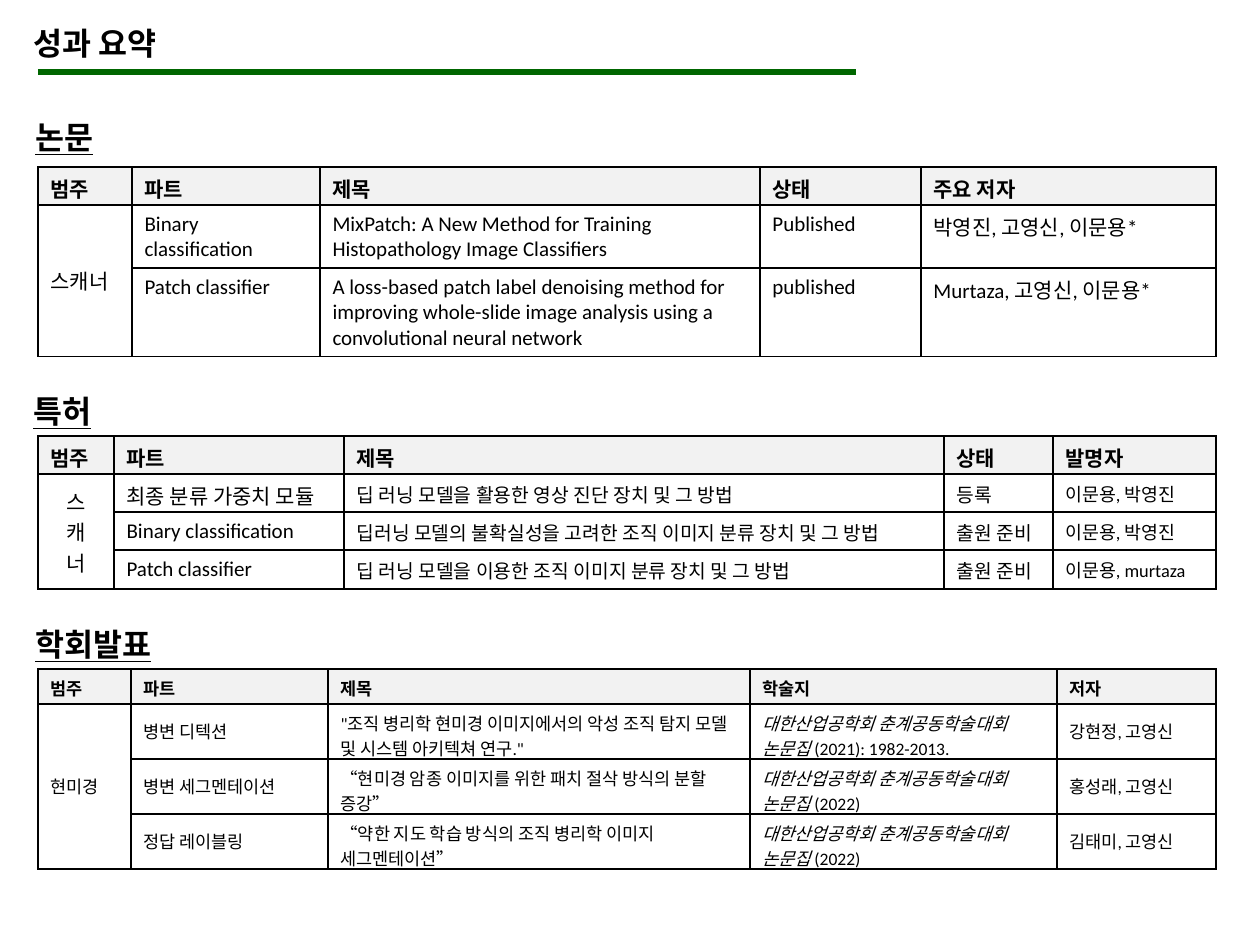
import pptx
import pptx.dml.color
import pptx.enum.shapes
import pptx.enum.text
import pptx.oxml
import pptx.oxml.ns
import pptx.util
from lxml import etree

PX = 914400 / 126
COLORS = {"text": "000000", "border": "000000", "header": "F2F2F2",
          "body": "FFFFFF", "rule": "006600"}
LEFT = 38
ANCHOR = pptx.enum.text.MSO_ANCHOR
JOURNAL = "대한산업공학회 춘계공동학술대회 논문집 "

PAPERS = [
    ["범주", "파트", "제목", "상태", "주요 저자"],
    ["스캐너", "Binary classification",
     "MixPatch: A New Method for Training Histopathology Image Classifiers",
     "Published", "박영진, 고영신, 이문용*"],
    ["", "Patch classifier",
     "A loss-based patch label denoising method for improving whole-slide "
     "image analysis using a convolutional neural network",
     "published", "Murtaza, 고영신, 이문용*"],
]
PATENTS = [
    ["범주", "파트", "제목", "상태", "발명자"],
    ["스\v캐\v너", "최종 분류 가중치 모듈",
     "딥 러닝 모델을 활용한 영상 진단 장치 및 그 방법", "등록", "이문용, 박영진"],
    ["", "Binary classification",
     "딥러닝 모델의 불확실성을 고려한 조직 이미지 분류 장치 및 그 방법",
     "출원 준비", "이문용, 박영진"],
    ["", "Patch classifier",
     "딥 러닝 모델을 이용한 조직 이미지 분류 장치 및 그 방법",
     "출원 준비", "이문용, murtaza"],
]
# A tuple holds an italic part followed by an upright part.
TALKS = [
    ["범주", "파트", "제목", "학술지", "저자"],
    ["현미경", "병변 디텍션",
     '"조직 병리학 현미경 이미지에서의 악성 조직 탐지 모델 및 시스템 아키텍쳐 연구."',
     (JOURNAL, "(2021): 1982-2013."), "강현정, 고영신"],
    ["", "병변 세그멘테이션",
     "“현미경 암종 이미지를 위한 패치 절삭 방식의 분할 증강”",
     (JOURNAL, "(2022)"), "홍성래, 고영신"],
    ["", "정답 레이블링",
     "“약한 지도 학습 방식의 조직 병리학 이미지 세그멘테이션”",
     (JOURNAL, "(2022)"), "김태미, 고영신"],
]


def px(n):
    return pptx.util.Emu(round(n * PX))


def rgb(name):
    return pptx.dml.color.RGBColor.from_string(COLORS[name])


def format_run(r, size, bold, font="Calibri"):
    r.font.size = pptx.util.Pt(size)
    r.font.name = font
    r.font.bold = bold
    r.font.color.rgb = rgb("text")


def add_heading(slide, text, x, y, w, font="Calibri", underline=True):
    s = slide.shapes.add_textbox(px(x), px(y), px(w), px(50))
    tf = s.text_frame
    tf.word_wrap = True
    tf.auto_size = pptx.enum.text.MSO_AUTO_SIZE.SHAPE_TO_FIT_TEXT
    tf.text = text
    r = tf.paragraphs[0].runs[0]
    format_run(r, 18, True, font)
    if underline:
        r.font.underline = True


def add_rule(slide, x1, x2, y):
    s = slide.shapes.add_connector(pptx.enum.shapes.MSO_CONNECTOR.STRAIGHT,
                                   px(x1), px(y), px(x2), px(y))
    s.line.color.rgb = rgb("rule")
    s.line.width = pptx.util.Pt(3)
    etree.SubElement(s._element.spPr, pptx.oxml.ns.qn("a:effectLst"))


def set_borders(cell):
    """Draw a 1 pt line on all four sides, placed ahead of the cell fill."""
    tc_pr = cell._tc.get_or_add_tcPr()
    for i, side in enumerate(("lnL", "lnR", "lnT", "lnB")):
        tc_pr.insert(i, pptx.oxml.parse_xml(
            f'<a:{side} {pptx.oxml.ns.nsdecls("a")} w="12700"><a:solidFill>'
            f'<a:srgbClr val="{COLORS["border"]}"/></a:solidFill></a:{side}>'))


def fill_cell(cell, content, size, header, anchor):
    cell.fill.solid()
    cell.fill.fore_color.rgb = rgb("header" if header else "body")
    cell.vertical_anchor = anchor
    set_borders(cell)
    p = cell.text_frame.paragraphs[0]
    if isinstance(content, tuple):
        for text, italic in zip(content, (True, False)):
            r = p.add_run()
            r.text = text
            r.font.italic = italic
    else:
        p.text = content
    for r in p.runs:
        format_run(r, size, header)
    for br in p._p.findall(pptx.oxml.ns.qn("a:br")):
        etree.SubElement(br, pptx.oxml.ns.qn("a:rPr"), sz=str(round(size * 100)))


def add_grid(slide, rows, y, widths, heights, sizes, header_anchor, body_anchor):
    """Add a table whose first column is one merged category cell."""
    s = slide.shapes.add_table(len(rows), len(widths), px(LEFT), px(y),
                               px(sum(widths)), px(sum(heights)))
    table = s.table
    for column, w in zip(table.columns, widths):
        column.width = px(w)
    for row, h in zip(table.rows, heights):
        row.height = px(h)
    for i, row in enumerate(rows):
        header = i == 0
        for j, content in enumerate(row):
            anchor = header_anchor if header else body_anchor
            if j == 0 and not header:
                anchor = ANCHOR.MIDDLE
            size = sizes[0] if header else sizes[j]
            fill_cell(table.cell(i, j), content, size, header, anchor)
    table.cell(1, 0).merge(table.cell(len(rows) - 1, 0))
    return table


def main():
    prs = pptx.Presentation()
    prs.slide_width, prs.slide_height = px(1260), px(945)
    slide = prs.slides.add_slide(prs.slide_layouts[6])

    add_heading(slide, "성과 요약", 21, 18, 648, "Arial", underline=False)
    add_rule(slide, LEFT, 856, 72)

    add_heading(slide, "논문", 23, 112, 89)
    add_grid(slide, PAPERS, 167, [94, 188, 440, 161, 295], [38, 63, 88],
             [12] * 5, ANCHOR.TOP, ANCHOR.TOP)

    add_heading(slide, "특허", 21, 386, 89)
    patents = add_grid(slide, PATENTS, 436, [76, 230, 600, 109, 163],
                       [38, 38, 38, 39], [12, 12, 11, 11, 10.5],
                       ANCHOR.TOP, ANCHOR.MIDDLE)
    category = patents.cell(1, 0).text_frame.paragraphs[0]
    category.alignment = pptx.enum.text.PP_ALIGN.CENTER

    add_heading(slide, "학회발표", 23, 619, 176)
    add_grid(slide, TALKS, 669, [93, 197, 422, 307, 159], [35, 55, 55, 55],
             [10] * 5, ANCHOR.MIDDLE, ANCHOR.MIDDLE)

    prs.save("out.pptx")


if __name__ == "__main__":
    main()
